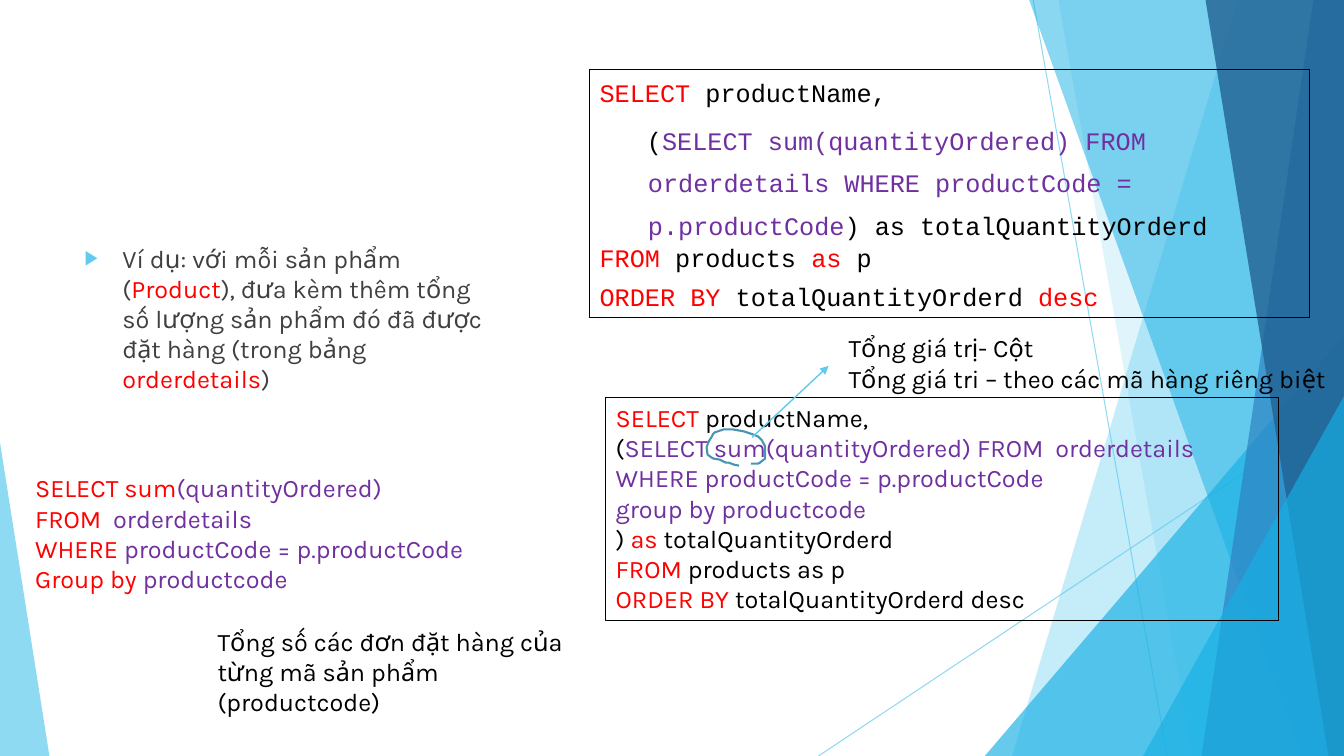
import pptx
import pptx.util
import pptx.dml.color
import pptx.enum.shapes
import pptx.enum.text
import pptx.oxml
import pptx.oxml.ns
from lxml import etree

Pt = pptx.util.Pt
qn = pptx.oxml.ns.qn
KIND = pptx.enum.shapes.MSO_SHAPE
TEXT = pptx.enum.text

HUES = {
    "red": "FF0000", "plum": "7030A0", "black": "000000", "gray": "404040",
    "sky": "5FCBEF", "cyan": "17B0E4", "blue": "2E83C3", "navy": "226292",
    "ink": "4696B1",
}
WIDE, HIGH = 960, 540

# Right-hand bands: top x, bottom x, colour, opacity
BANDS = [
    (884.16, 722.88, "sky", 36), (756, 851.76, "sky", 20),
    (735.12, 929.52, "cyan", 50), (938.16, 858.24, "blue", 70),
    (861.12, 948.96, "navy", 80),
]

# Hand-drawn ring around "sum"
RING = [
    (536.4, 331.2), (541.4, 331.2), (542.9, 330.5), (543.6, 329.8),
    (546.5, 327.6), (546.5, 326.2), (546.5, 319), (545.8, 317.5),
    (545, 316.1), (544.3, 314.6), (542.9, 313.2), (541.4, 311.8),
    (537.8, 310.3), (531.4, 308.2), (527, 307.4), (523.4, 306.7),
    (517, 306.7), (510.5, 308.9), (509, 310.3), (509, 311),
    (506.2, 315.4), (505.4, 317.5), (504.7, 319.7), (505.4, 324.7),
    (508.3, 326.9), (509.8, 327.6), (514.1, 328.3), (518.4, 330.5),
    (520.6, 330.5), (524.2, 331.9), (527.8, 332.6),
]

# Paragraphs as lists of (text, colour)
TASK = [[
    ("Ví dụ: với mỗi sản phẩm (", "gray"), ("Product", "red"),
    ("), đưa kèm thêm tổng số lượng sản phẩm đó đã được đặt hàng (trong bảng ", "gray"),
    ("orderdetails", "red"), (")", "gray"),
]]
HEAD = [("SELECT", "red"), (" productName,", "black")]
INNER = [
    ("(", "black"),
    ("SELECT sum(quantityOrdered) FROM  orderdetails WHERE productCode = p.productCode", "plum"),
]
QUERY = [
    HEAD,
    INNER + [(") as totalQuantityOrderd", "black")],
    [("FROM", "red"), (" products ", "black"), ("as", "red"), (" p", "black")],
    [("ORDER BY", "red"), (" totalQuantityOrderd ", "black"), ("desc", "red")],
]
GROUPED = [
    HEAD,
    INNER,
    [("group by productcode", "plum")],
    [(") ", "black"), ("as", "red"), (" totalQuantityOrderd", "black")],
    [("FROM", "red"), (" products as p", "black")],
    [("ORDER BY", "red"), (" totalQuantityOrderd desc", "black")],
]
PART = [
    [("SELECT sum", "red"), ("(quantityOrdered)", "plum")],
    [("FROM", "red"), ("  orderdetails", "plum")],
    [("WHERE", "red"), (" productCode = p.productCode", "plum")],
    [("Group by", "red"), (" productcode", "plum")],
]
TOTAL = [[("Tổng số các đơn đặt hàng của từng mã sản phẩm (productcode)", "black")]]
NOTE = [
    [("Tổng giá trị- Cột", "black")],
    [("Tổng giá tri – theo các mã hàng riêng biệt", "black")],
]


def tint(name):
    return pptx.dml.color.RGBColor.from_string(HUES[name])


def fade(node, alpha):
    """Set the opacity, in percent, of the solid colour inside a node."""
    color = next(node.iter(qn("a:srgbClr")))
    etree.SubElement(color, qn("a:alpha")).set("val", str(alpha * 1000))


def paint(shape, hue, alpha):
    shape.shadow.inherit = False
    shape.fill.solid()
    shape.fill.fore_color.rgb = tint(hue)
    fade(shape._element.spPr, alpha)
    shape.line.fill.background()


def band(slide, top, base, hue, alpha):
    pen = slide.shapes.build_freeform(Pt(top), 0, 1.0)
    pen.add_line_segments([(Pt(x), Pt(y)) for x, y in
                           [(WIDE, 0), (WIDE, HIGH), (base, HIGH)]])
    paint(pen.convert_to_shape(), hue, alpha)


def wedge(slide, left, top, width, tip, hue, alpha):
    """Right triangle standing on the bottom edge of the slide."""
    shape = slide.shapes.add_shape(KIND.ISOSCELES_TRIANGLE, Pt(left), Pt(top),
                                   Pt(width), Pt(HIGH - top))
    shape.adjustments[0] = tip
    paint(shape, hue, alpha)


def rule(slide, x1, y1, x2, y2, width):
    line = slide.shapes.add_connector(
        pptx.enum.shapes.MSO_CONNECTOR.STRAIGHT, Pt(x1), Pt(y1), Pt(x2), Pt(y2))
    line.line.color.rgb = tint("sky")
    line.line.width = Pt(width)
    etree.SubElement(line._element.spPr, qn("a:effectLst"))
    return line


def ring(slide):
    start, *rest = [(Pt(x), Pt(y)) for x, y in RING]
    pen = slide.shapes.build_freeform(*start, 1.0)
    pen.add_line_segments(rest, close=False)
    shape = pen.convert_to_shape()
    shape.shadow.inherit = False
    shape.fill.background()
    shape.line.color.rgb = tint("ink")
    shape.line.width = Pt(1.5)


def write(shape, paras, font="Karla", grow=True):
    frame = shape.text_frame
    frame.word_wrap = True
    frame.vertical_anchor = TEXT.MSO_ANCHOR.TOP
    if grow:
        frame.auto_size = TEXT.MSO_AUTO_SIZE.SHAPE_TO_FIT_TEXT
    for i, runs in enumerate(paras):
        para = frame.add_paragraph() if i else frame.paragraphs[0]
        para.alignment = TEXT.PP_ALIGN.LEFT
        para.font.name = font
        para.font.size = Pt(18)
        for text, hue in runs:
            run = para.add_run()
            run.text = text
            run.font.color.rgb = tint(hue)
    return frame.paragraphs


def label(slide, box, paras, grow=True):
    return write(slide.shapes.add_textbox(*map(Pt, box)), paras, grow=grow)


def panel(slide, box, paras, font):
    shape = slide.shapes.add_shape(KIND.RECTANGLE, *map(Pt, box))
    shape.shadow.inherit = False
    shape.fill.background()
    shape.line.color.rgb = tint("black")
    shape.line.width = Pt(0.75)
    return write(shape, paras, font)


def indent(para, left, first):
    props = para._p.get_or_add_pPr()
    props.set("marL", str(Pt(left)))
    props.set("indent", str(Pt(first)))
    return props


def bullet(para):
    props = indent(para, 27, -27)
    at = 0
    for tag, key, value in [("buClr", None, None), ("buSzPct", "val", "80000"),
                            ("buFont", "typeface", "Arial"), ("buChar", "char", "▶")]:
        item = etree.Element(qn("a:" + tag))
        if key:
            item.set(key, value)
        else:
            etree.SubElement(item, qn("a:srgbClr")).set("val", HUES["sky"])
        props.insert(at, item)
        at += 1


def decor(slide):
    for ends in [(738, 0, 833.76, HIGH), (WIDE, 290.16, 584.64, HIGH)]:
        fade(rule(slide, *ends, 0.75)._element.spPr, 70)
    for item in BANDS[:2]:
        band(slide, *item)
    wedge(slide, 703.44, 239.76, 256.56, 1, "cyan", 66)
    for item in BANDS[2:]:
        band(slide, *item)
    wedge(slide, 816.48, 282.96, 143.52, 1, "cyan", 66)
    wedge(slide, 0, 316.08, 35.28, 0, "sky", 70)


def main():
    deck = pptx.Presentation()
    deck.slide_width, deck.slide_height = Pt(WIDE), Pt(HIGH)
    slide = deck.slides.add_slide(deck.slide_layouts[6])
    decor(slide)

    # Task and queries
    bullet(label(slide, (53.28, 169.92, 306, 310.32), TASK, grow=False)[0])
    panel(slide, (432.72, 283.68, 480.24, 159.84), GROUPED, "Karla")
    lines = panel(slide, (421.2, 49.68, 514.08, 177.12), QUERY, "Courier New")
    looks = [(0.72, 1.08, 4.3), (34.56, 1.4, 0), (0.72, 1.08, 4.3), (0.72, 1.08, 14.4)]
    for para, (left, gap, after) in zip(lines, looks):
        indent(para, left, -0.72)
        para.line_spacing = gap
        para.space_after = Pt(after)

    # Remarks
    label(slide, (18, 334.08, 379.44, 116.64), PART)
    label(slide, (148.32, 443.52, 277.92, 72.72), TOTAL)
    ring(slide)
    arrow = rule(slide, 537.12, 312.48, 591.84, 261.36, 1)
    etree.SubElement(arrow.line._get_or_add_ln(), qn("a:tailEnd")).set("type", "triangle")
    label(slide, (599.04, 234, 367.2, 51.12), NOTE)
    deck.save("out.pptx")


if __name__ == "__main__":
    main()
